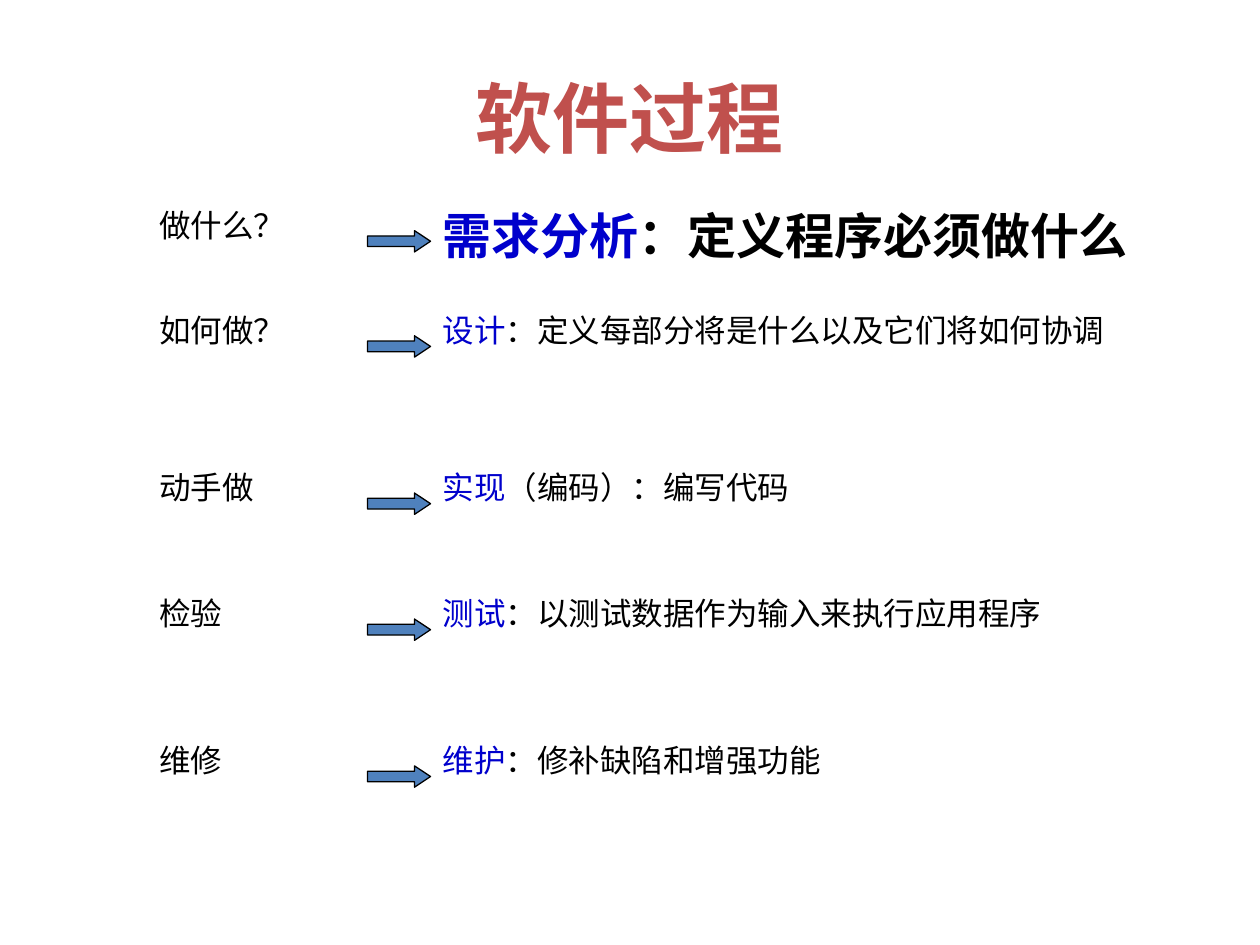
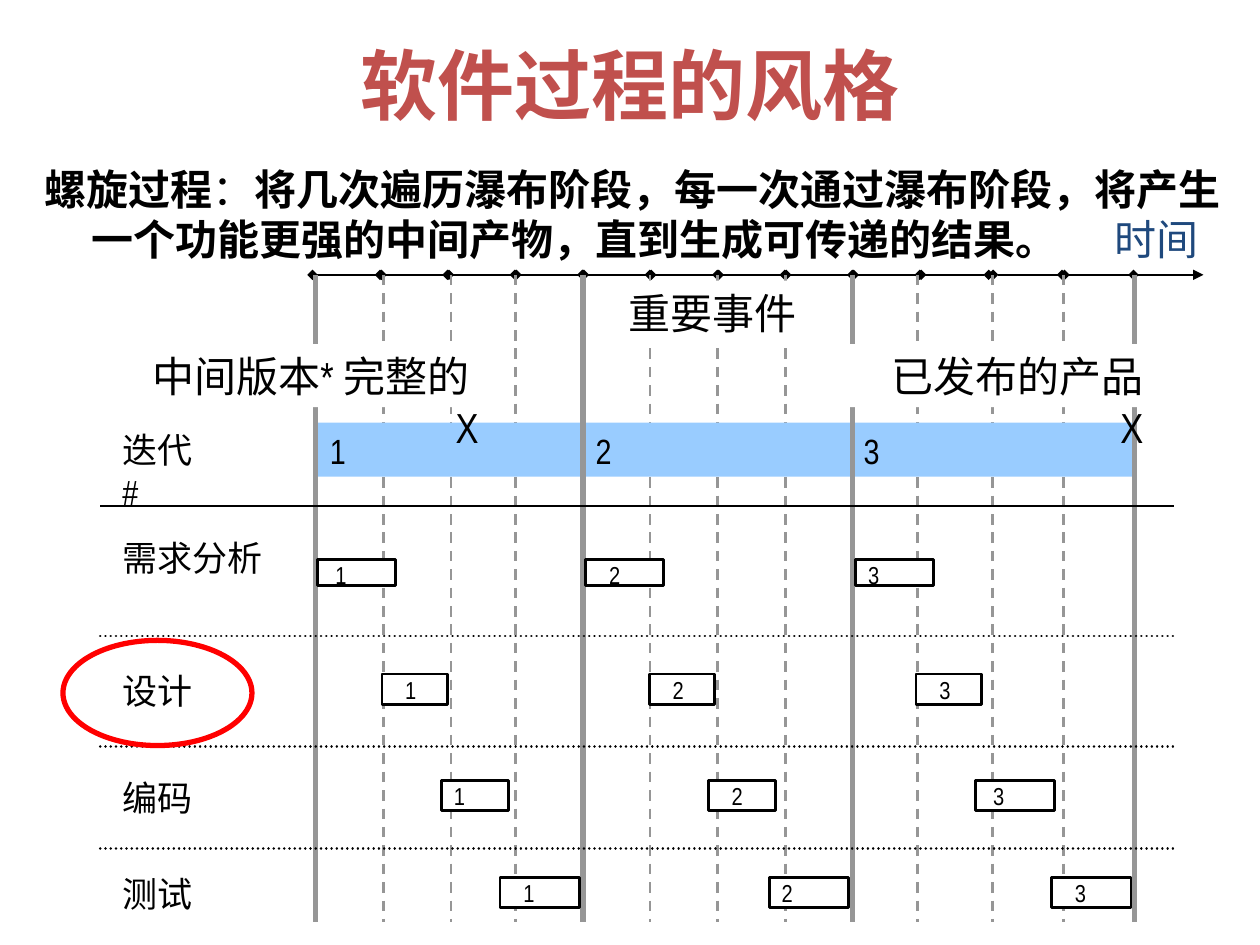
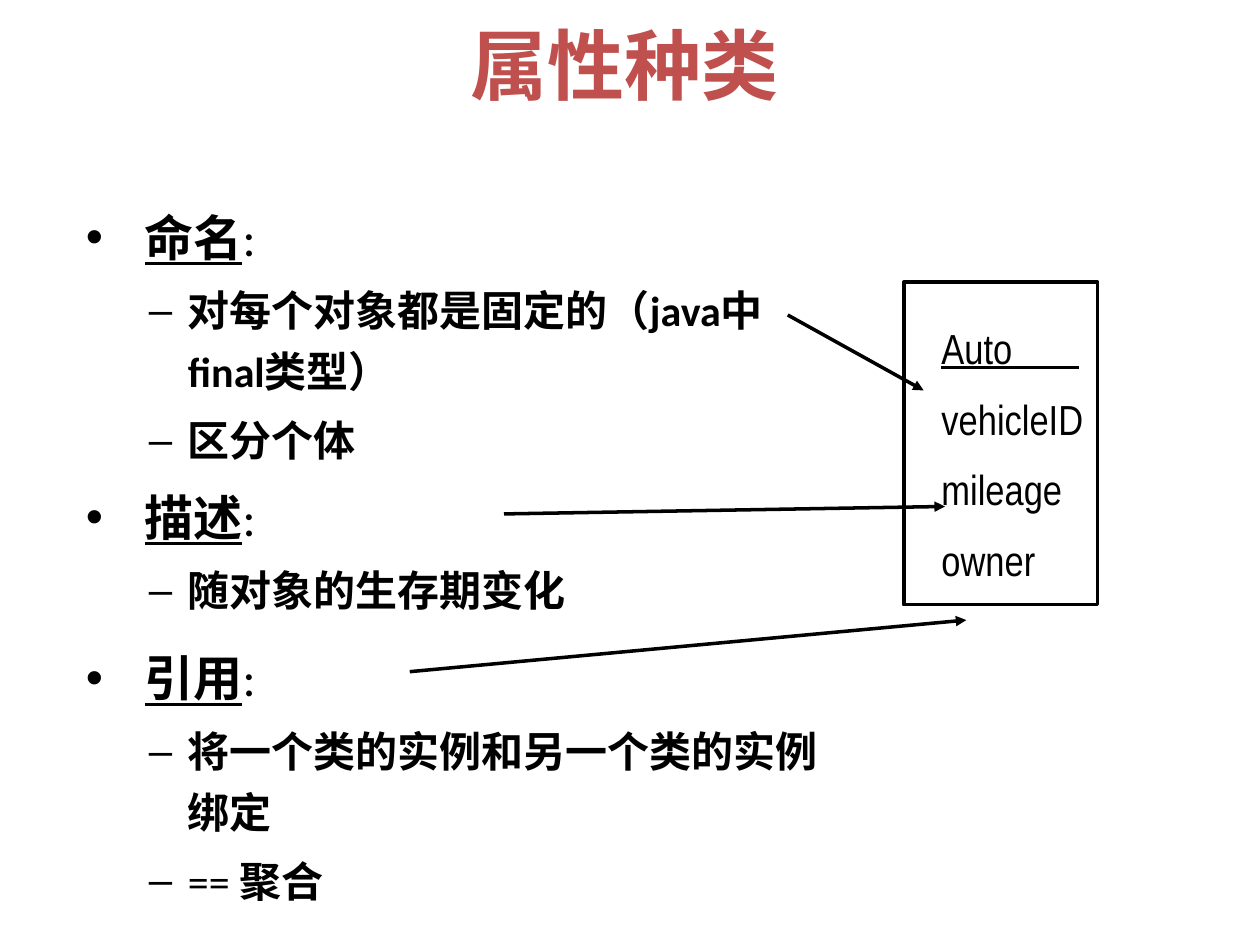
"""Build three slides on software process and attribute kinds."""
from dataclasses import dataclass

from lxml.etree import SubElement
from pptx import Presentation
from pptx.dml.color import RGBColor
from pptx.enum.dml import MSO_LINE
from pptx.enum.shapes import MSO_CONNECTOR, MSO_SHAPE
from pptx.enum.text import MSO_ANCHOR, PP_ALIGN
from pptx.oxml.ns import qn
from pptx.util import Cm, Pt


@dataclass(frozen=True)
class Theme:
    """Colours, fonts and type sizes."""
    black: str = "000000"
    white: str = "FFFFFF"
    red: str = "C0504D"
    ring: str = "FF0000"
    blue: str = "0000CC"
    navy: str = "1F497D"
    steel: str = "4F81BD"
    sky: str = "99CCFF"
    grey: str = "969696"
    main: str = "Calibri"
    thin: str = "Arial Narrow"
    han: str = "Noto Sans CJK SC"
    title: int = 44
    lead: int = 28
    body: int = 24
    label: int = 20
    small: int = 18
    tiny: int = 14


T = Theme()


def write(par, text, size=T.body, color=T.black, font=T.main, bold=False, under=False):
    """Add formatted text to a paragraph, with a line break at each newline."""
    for i, part in enumerate(text.split("\n")):
        if i:
            par.add_line_break()
        run = par.add_run()
        run.text = part
        run.font.size = Pt(size)
        run.font.bold = bold
        run.font.underline = under
        run.font.color.rgb = RGBColor.from_string(color)
        run.font.name = font
        SubElement(run._r.get_or_add_rPr(), qn("a:ea"), typeface=T.han)


def indent(par, left, hang, mark=None):
    """Give a paragraph a hanging indent and, if wanted, a bullet."""
    props = par._p.get_or_add_pPr()
    props.set("marL", str(Cm(left)))
    props.set("indent", str(-Cm(hang)))
    if mark:
        SubElement(props, qn("a:buFont"), typeface="Arial")
        SubElement(props, qn("a:buChar"), char=mark)


class Deck:
    """Holds the style and the current slide."""

    def __init__(self):
        self.prs = Presentation()
        self.prs.slide_width, self.prs.slide_height = Cm(25.4), Cm(19.05)

    def page(self, title, top, height, width=22.86, left=1.27):
        """Start a slide with its title."""
        self.slide = self.prs.slides.add_slide(self.prs.slide_layouts[6])
        frame = self.frame(left, top, width, height, anchor=MSO_ANCHOR.MIDDLE)
        frame.paragraphs[0].alignment = PP_ALIGN.CENTER
        write(frame.paragraphs[0], title, size=T.title, color=T.red, bold=True)

    def setup(self, shape, pads=(.25, .13, .25, .13), anchor=MSO_ANCHOR.TOP):
        """Set the wrap, margins and anchor of a shape's text."""
        frame = shape.text_frame
        frame.word_wrap = True
        frame.vertical_anchor = anchor
        (frame.margin_left, frame.margin_top,
         frame.margin_right, frame.margin_bottom) = map(Cm, pads)
        frame.paragraphs[0].alignment = PP_ALIGN.LEFT
        return frame

    def frame(self, *box, **look):
        """Add a text box and return its frame."""
        return self.setup(self.slide.shapes.add_textbox(*map(Cm, box)), **look)

    def label(self, text, *box, pads=(.25, .13, 0, .13), **style):
        """Add a text box with one paragraph."""
        write(self.frame(*box, pads=pads).paragraphs[0], text, **style)

    def shape(self, kind, *box, fill=None, line=None, width=1.5):
        """Add a preset shape."""
        shape = self.slide.shapes.add_shape(kind, *map(Cm, box))
        shape.shadow.inherit = False
        if fill:
            shape.fill.solid()
            shape.fill.fore_color.rgb = RGBColor.from_string(fill)
        else:
            shape.fill.background()
        if line:
            shape.line.color.rgb = RGBColor.from_string(line)
            shape.line.width = Pt(width)
        else:
            shape.line.fill.background()
        return shape

    def block(self, text, *box, fill=T.white, line=None, pads=(.25, .13, 0, .13),
              align=PP_ALIGN.LEFT, space=1.0, **style):
        """Add a rectangle with one paragraph of narrow text."""
        rect = self.shape(MSO_SHAPE.RECTANGLE, *box, fill=fill, line=line)
        par = self.setup(rect, pads=pads).paragraphs[0]
        par.alignment, par.line_spacing = align, space
        write(par, text, font=T.thin, **style)

    def line(self, *ends, color=T.black, width=1.5, dash=None, cap="flat",
             head=None, tail=None):
        """Add a straight line with optional dash and arrowheads."""
        link = self.slide.shapes.add_connector(MSO_CONNECTOR.STRAIGHT, *map(Cm, ends))
        link.line.color.rgb = RGBColor.from_string(color)
        link.line.width = Pt(width)
        if dash:
            link.line.dash_style = dash
        edge = link.line._get_or_add_ln()
        edge.set("cap", cap)
        for tag, kind in (("a:headEnd", head), ("a:tailEnd", tail)):
            if kind:
                SubElement(edge, qn(tag), type=kind)
        SubElement(link._element.spPr, qn("a:effectLst"))


def steps(deck):
    """Draw the questions and the process steps that answer them."""
    deck.page("软件过程", .76, 3.18)
    rows = [
        (4.02, "做什么？", "需求分析", "：定义程序必须做什么"),
        (6.14, "如何做？", "设计", "：定义每部分将是什么以及它们将如何协调"),
        (9.31, "动手做", "实现", "（编码）：编写代码"),
        (11.85, "检验", "测试", "：以测试数据作为输入来执行应用程序"),
        (14.81, "维修", "维护", "：修补缺陷和增强功能"),
    ]
    for i, (top, ask, name, note) in enumerate(rows):
        style = dict(size=T.small) if i else dict(size=T.lead, font=T.han, bold=True)
        deck.label(ask, 2.96, top, 4.4, 1.7, size=T.small)
        par = deck.frame(8.68, top, 16.08, 1.7).paragraphs[0]
        write(par, name, color=T.blue, **style)
        write(par, note, **style)
        arrow = deck.shape(MSO_SHAPE.RIGHT_ARROW, 7.41, top + .63, 1.27, .43,
                           fill=T.steel, line=T.black, width=.75)
        arrow.adjustments[0], arrow.adjustments[1] = .5, .75


def spiral(deck):
    """Draw the spiral process as a time chart."""
    deck.page("软件过程的风格", .2, 2.97)
    par = deck.frame(.64, 3.16, 24.33, 2.54).paragraphs[0]
    indent(par, .95, .95)
    for text, bold in (("螺旋过程", True), ("：", False),
                       ("将几次遍历瀑布阶段，每一次通过瀑布阶段，将产生"
                        "一个功能更强的中间产物，直到生成可传递的结果。", True)):
        write(par, text, font=T.han, bold=bold)

    top, end = 5.54, 18.59
    for x in [6.3 + 1.36 * i for i in range(10)] + [20.02, 21.46]:
        deck.line(x, top, x + 1.39, top, head="diamond", tail="diamond")
    deck.line(22.86, top, 24.26, top, tail="triangle")
    deck.label("时间", 22.21, 4.18, 2.21, 1.27, color=T.navy, font=T.thin)

    for x in (7.73, 9.09, 10.39, 13.1, 14.46, 15.83, 18.5, 20.01, 21.44):
        deck.line(x, top, x, end, color=T.grey, dash=MSO_LINE.DASH)
    for name, x, width in (("1", 6.4, 5.36), ("2", 11.76, 5.38), ("3", 17.16, 5.7)):
        deck.block(name, x, 8.52, width, 1.09, fill=T.sky, size=T.label)
    for x in (6.36, 11.75, 17.18, 22.87):
        deck.line(x, top, x, end, color=T.grey, width=3)

    for name, y in (("迭代\n#", 8.51), ("需求分析", 10.69), ("设计", 13.37),
                    ("编码", 15.52), ("测试", 17.46)):
        deck.label(name, 2.22, y, 3.35, 1.09, size=T.label, font=T.thin)
    deck.line(2.02, 10.2, 23.67, 10.2)
    for y in (12.82, 15.05, 17.11):
        deck.line(2.02, y, 23.67, y, dash=MSO_LINE.ROUND_DOT, cap="rnd")

    right = dict(align=PP_ALIGN.RIGHT, pads=(0, .13, .25, .13))
    deck.block("已发布的产品\nX", 17.03, 6.94, 6.27, 1.27, **right)
    deck.block("中间版本* 完整的 \nX", 2.13, 6.94, 7.77, 1.27, **right)
    deck.block("重要事件", 12.42, 5.66, 3.91, 1.27)

    tasks = [
        (11.28, .53, ((6.4, 1.57, 1), (11.81, 1.57, 2), (17.25, 1.57, 0))),
        (13.59, .61, ((7.7, 1.32, 2), (13.09, 1.32, 2), (18.47, 1.32, 2))),
        (15.73, .61, ((8.9, 1.35, 0), (14.28, 1.35, 2), (19.66, 1.6, 1))),
        (17.69, .61, ((10.08, 1.6, 2), (15.51, 1.6, 0), (21.2, 1.6, 2))),
    ]
    for y, height, boxes in tasks:
        for turn, (x, width, shift) in enumerate(boxes, 1):
            deck.block(str(turn), x, y, width, height, line=T.black, size=T.tiny,
                       space=.8, pads=(.25 + .11 * shift, .13, 0, .13))
    deck.shape(MSO_SHAPE.OVAL, 1.27, 12.91, 3.81, 2.12, line=T.ring, width=3)


def kinds(deck):
    """List the kinds of attribute beside a sample class."""
    deck.page("属性种类", .16, 2.24, width=25.2, left=0)
    groups = [
        ("命名", ["对每个对象都是固定的（java中final类型）", "区分个体"], 0),
        ("描述", ["随对象的生存期变化"], 6),
        ("引用", ["将一个类的实例和另一个类的实例绑定", "== 聚合"], 12),
    ]
    frame = deck.frame(1.48, 3.81, 15.47, 14.82)
    for i, (name, notes, gap) in enumerate(groups):
        par = frame.add_paragraph() if i else frame.paragraphs[0]
        indent(par, 1.19, 1.19, "•")
        par.space_before, par.line_spacing = Pt(gap), 1.2
        write(par, name, size=T.lead, bold=True, under=True)
        write(par, ":", size=T.lead)
        for note in notes:
            par = frame.add_paragraph()
            indent(par, 2.06, .79, "–")
            par.space_before, par.line_spacing = Pt(5), 1.2
            sign, mid, rest = note.rpartition("== ")
            if mid:
                write(par, sign + mid)
            write(par, rest, bold=True)

    card = deck.shape(MSO_SHAPE.RECTANGLE, 18.22, 5.69, 3.91, 6.5, line=T.black, width=2)
    frame = deck.setup(card, pads=(.76, .38, 0, .38), anchor=MSO_ANCHOR.MIDDLE)
    for i, name in enumerate(("Auto", "vehicleID", "mileage", "owner")):
        par = frame.paragraphs[0] if i == 0 else frame.add_paragraph()
        par.alignment, par.line_spacing = PP_ALIGN.LEFT, 1.4
        write(par, name, font=T.thin, under=i == 0)
    deck.line(20.4, 7.41, 21.75, 7.41)
    for ends in ((15.88, 6.35, 18.62, 7.87), (10.16, 10.36, 19.05, 10.21),
                 (8.26, 13.54, 19.48, 12.5)):
        deck.line(*ends, width=2, tail="triangle")


def main():
    """Build and save the slides."""
    deck = Deck()
    for draw in (steps, spiral, kinds):
        draw(deck)
    deck.prs.save("out.pptx")


if __name__ == "__main__":
    main()
